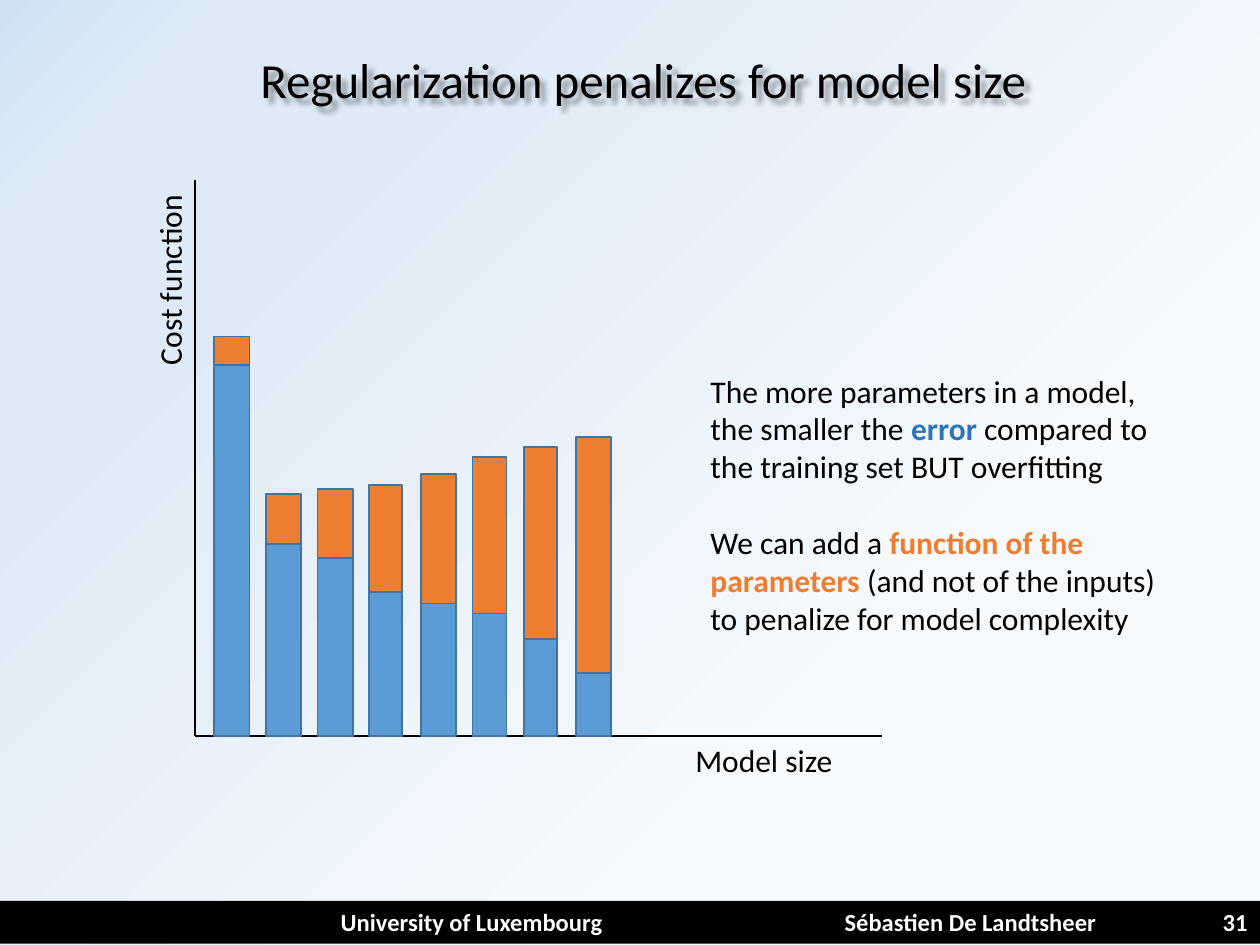
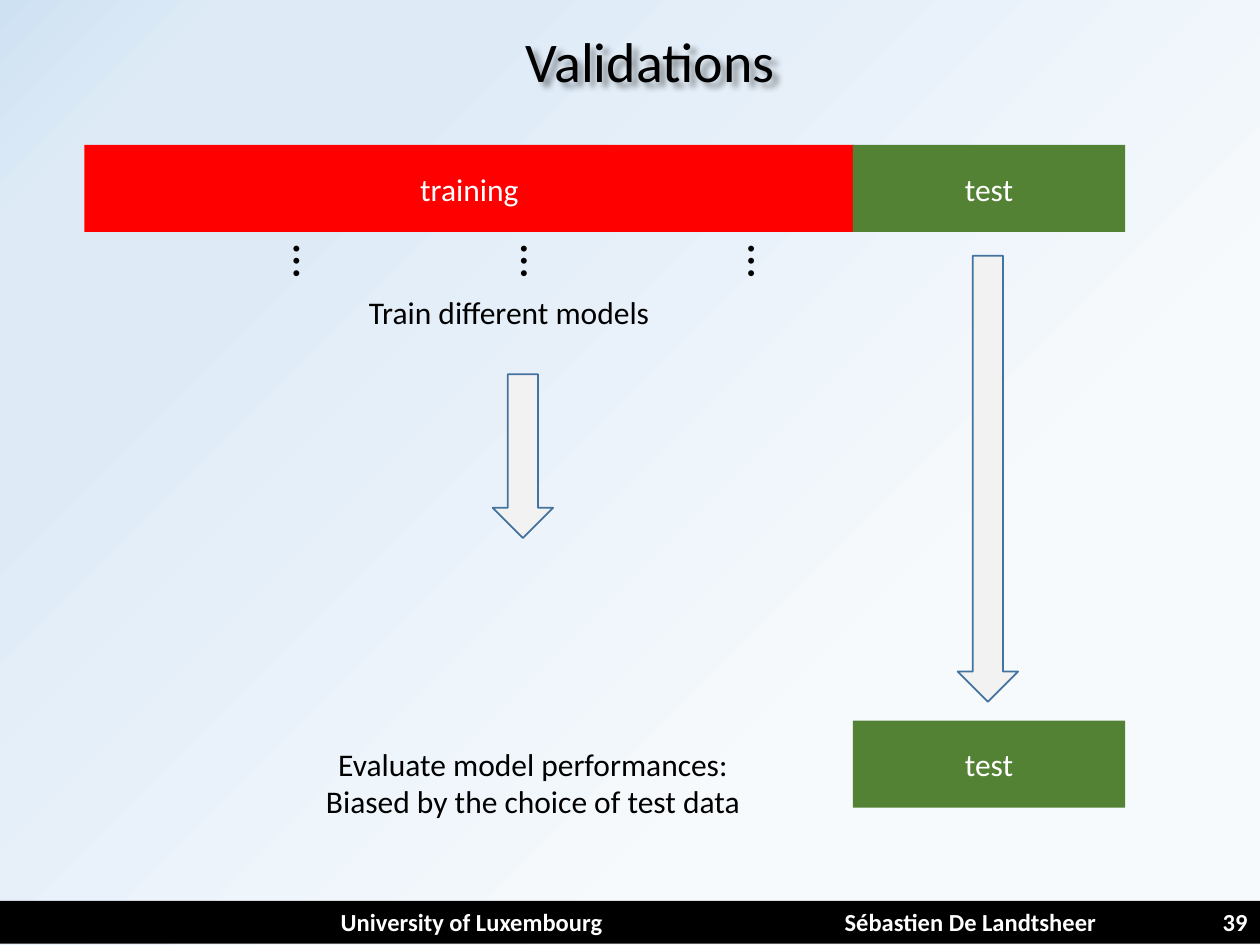
"""Build two slides on model regularization and validation."""
from dataclasses import dataclass

from lxml import etree
from pptx import Presentation
from pptx.dml.color import RGBColor
from pptx.enum.shapes import MSO_CONNECTOR, MSO_SHAPE
from pptx.enum.text import MSO_ANCHOR, PP_ALIGN
from pptx.oxml.ns import qn
from pptx.util import Inches, Pt

RECTANGLE = MSO_SHAPE.RECTANGLE
DOWN_ARROW = MSO_SHAPE.DOWN_ARROW
STRAIGHT = MSO_CONNECTOR.STRAIGHT
LEFT, CENTER, RIGHT = PP_ALIGN.LEFT, PP_ALIGN.CENTER, PP_ALIGN.RIGHT
TOP, MIDDLE = MSO_ANCHOR.TOP, MSO_ANCHOR.MIDDLE

FONT = "Calibri"
COLORS = {
    "black": "000000",
    "white": "FFFFFF",
    "error": "5B9BD5",
    "error_text": "2E75B6",
    "penalty": "ED7D31",
    "outline": "43739E",
    "training": "FF0000",
    "test": "548235",
    "arrow": "F2F2F2",
}
BACKGROUND_STOPS = ((0, "CEE1F2"), (11, "DEEBF7"), (22, "DEEBF7"), (71, "F7FAFD"))
FOOTER_TABS = (4, 7)
AXIS_LEFT, AXIS_BOTTOM = 1.55, 5.84
FIRST_BAR, BAR_PITCH = 1.7, 0.41


@dataclass(frozen=True)
class Span:
    text: str
    color: str = "black"
    bold: bool = False


@dataclass(frozen=True)
class Area:
    left: float
    top: float
    width: float
    height: float

    def lengths(self) -> tuple:
        return tuple(Inches(n) for n in (self.left, self.top, self.width, self.height))


@dataclass(frozen=True)
class Bar:
    error: float
    penalty: float
    width: float = 0.28


@dataclass(frozen=True)
class Block:
    label: str
    area: Area
    fill: str


BARS = (
    Bar(2.94, 0.23),
    Bar(1.52, 0.4),
    Bar(1.41, 0.55),
    Bar(1.14, 0.85, 0.26),
    Bar(1.05, 1.03),
    Bar(0.97, 1.24, 0.27),
    Bar(0.77, 1.52, 0.26),
    Bar(0.5, 1.87),
)
BLOCKS = (
    Block("training", Area(0.67, 1.15, 6.11, 0.69), "training"),
    Block("test", Area(6.77, 1.15, 2.16, 0.69), "test"),
    Block("test", Area(6.77, 5.72, 2.16, 0.69), "test"),
)
ARROWS = (Area(3.91, 2.97, 0.48, 1.3), Area(7.6, 2.03, 0.48, 3.54))
EXPLANATION = (
    (
        Span("The more parameters in a model, the smaller the "),
        Span("error", "error_text", True),
        Span(" compared to the training set BUT overfitting"),
    ),
    (
        Span("We can add a "),
        Span("function of the parameters ", "penalty", True),
        Span("(and not of the inputs) to penalize for model complexity"),
    ),
)


def rgb(name: str) -> RGBColor:
    return RGBColor.from_string(COLORS[name])


def write(box, *paragraphs: tuple, size: float = 18, align=LEFT, anchor=TOP,
          wrap: bool = True, gap: float = 0) -> None:
    frame = box.text_frame
    frame.word_wrap = wrap
    frame.vertical_anchor = anchor
    for index, spans in enumerate(paragraphs):
        para = frame.add_paragraph() if index else frame.paragraphs[0]
        para.alignment = align
        if index and gap:
            para.space_before = Pt(gap)
        for span in spans:
            run = para.add_run()
            run.text = span.text
            run.font.name = FONT
            run.font.size = Pt(size)
            run.font.bold = span.bold
            run.font.color.rgb = rgb(span.color)


def add_text(page, area: Area, *paragraphs: tuple, rotation: float = 0, **text_format):
    box = page.shapes.add_textbox(*area.lengths())
    box.rotation = rotation
    write(box, *paragraphs, **text_format)
    return box


def add_block(page, area: Area, fill: str, outline: str = "", kind=RECTANGLE):
    shape = page.shapes.add_shape(kind, *area.lengths())
    shape.shadow.inherit = False
    shape.fill.solid()
    shape.fill.fore_color.rgb = rgb(fill)
    if outline:
        shape.line.color.rgb = rgb(outline)
        shape.line.width = Pt(1)
    else:
        shape.line.fill.background()
    return shape


def add_axis(page, end_left: float, end_top: float) -> None:
    axis = page.shapes.add_connector(
        STRAIGHT, Inches(AXIS_LEFT), Inches(AXIS_BOTTOM), Inches(end_left), Inches(end_top))
    axis.line.color.rgb = rgb("black")
    axis.line.width = Pt(1)
    etree.SubElement(axis._element.spPr, qn("a:effectLst"))


def add_title(page, area: Area, text: str, size: float) -> None:
    title = add_text(page, area, (Span(text),), size=size, align=CENTER)
    effects = etree.SubElement(title._element.spPr, qn("a:effectLst"))
    shadow = etree.SubElement(effects, qn("a:outerShdw"), blurRad="38100",
                              dist="50800", dir="2700000", algn="tl", rotWithShape="0")
    color = etree.SubElement(shadow, qn("a:srgbClr"), val=COLORS["black"])
    etree.SubElement(color, qn("a:alpha"), val="40000")


def paint_background(page) -> None:
    fill = page.background.fill
    fill.gradient()
    fill.gradient_angle = 315
    stops = page._element.find(".//" + qn("a:gsLst"))
    for stop in list(stops):
        stops.remove(stop)
    for position, color in BACKGROUND_STOPS:
        stop = etree.SubElement(stops, qn("a:gs"), pos=str(position * 1000))
        etree.SubElement(stop, qn("a:srgbClr"), val=color)


def add_footer(page, number: int) -> None:
    band = add_block(page, Area(0, 7.15, 10, 0.34), "black")
    properties = band.text_frame.paragraphs[0]._p.get_or_add_pPr()
    tabs = etree.SubElement(properties, qn("a:tabLst"))
    for position in FOOTER_TABS:
        etree.SubElement(tabs, qn("a:tab"), pos=str(Inches(position)), algn="l")
    text = f"University of Luxembourg\tSébastien De Landtsheer\t{number}"
    write(band, (Span(text, "white", True),), size=14, align=RIGHT)


def add_page(deck, number: int):
    page = deck.slides.add_slide(deck.slide_layouts[6])
    paint_background(page)
    add_footer(page, number)
    return page


def build_regularization(deck) -> None:
    page = add_page(deck, 31)
    add_title(page, Area(0.8, 0.34, 8.61, 0.57), "Regularization penalizes for model size", 28)
    add_axis(page, AXIS_LEFT, 1.43)
    add_axis(page, 7, AXIS_BOTTOM)
    add_text(page, Area(5.42, 5.83, 1.3, 0.4), (Span("Model size"),), wrap=False)
    add_text(page, Area(0.56, 2.01, 1.57, 0.4), (Span("Cost function"),),
             rotation=270, wrap=False)
    for index, bar in enumerate(BARS):
        left = FIRST_BAR + index * BAR_PITCH
        split = AXIS_BOTTOM - bar.error
        add_block(page, Area(left, split, bar.width, bar.error), "error", "outline")
        add_block(page, Area(left, split - bar.penalty, bar.width, bar.penalty),
                  "penalty", "outline")
    add_text(page, Area(5.54, 2.9, 3.95, 2.22), *EXPLANATION, gap=22)


def build_validations(deck) -> None:
    page = add_page(deck, 39)
    add_title(page, Area(0.42, 0.16, 9.48, 0.64), "Validations", 32)
    for block in BLOCKS:
        shape = add_block(page, block.area, block.fill)
        write(shape, (Span(block.label, "white"),), align=CENTER, anchor=MIDDLE)
    for column in range(3):
        add_text(page, Area(2.21 + column * 1.805, 1.83, 0.55, 0.57), (Span("…"),),
                 rotation=90, size=28)
    add_text(page, Area(1.7, 2.28, 4.68, 0.4), (Span("Train different models"),), align=CENTER)
    for area in ARROWS:
        add_block(page, area, "arrow", "outline", DOWN_ARROW)
    add_text(page, Area(1.89, 5.86, 4.68, 0.71), (Span("Evaluate model performances:"),),
             (Span("Biased by the choice of test data"),), align=CENTER)


def main() -> None:
    deck = Presentation()
    deck.slide_width = Inches(10)
    deck.slide_height = Inches(7.5)
    build_regularization(deck)
    build_validations(deck)
    deck.save("out.pptx")


if __name__ == "__main__":
    main()
